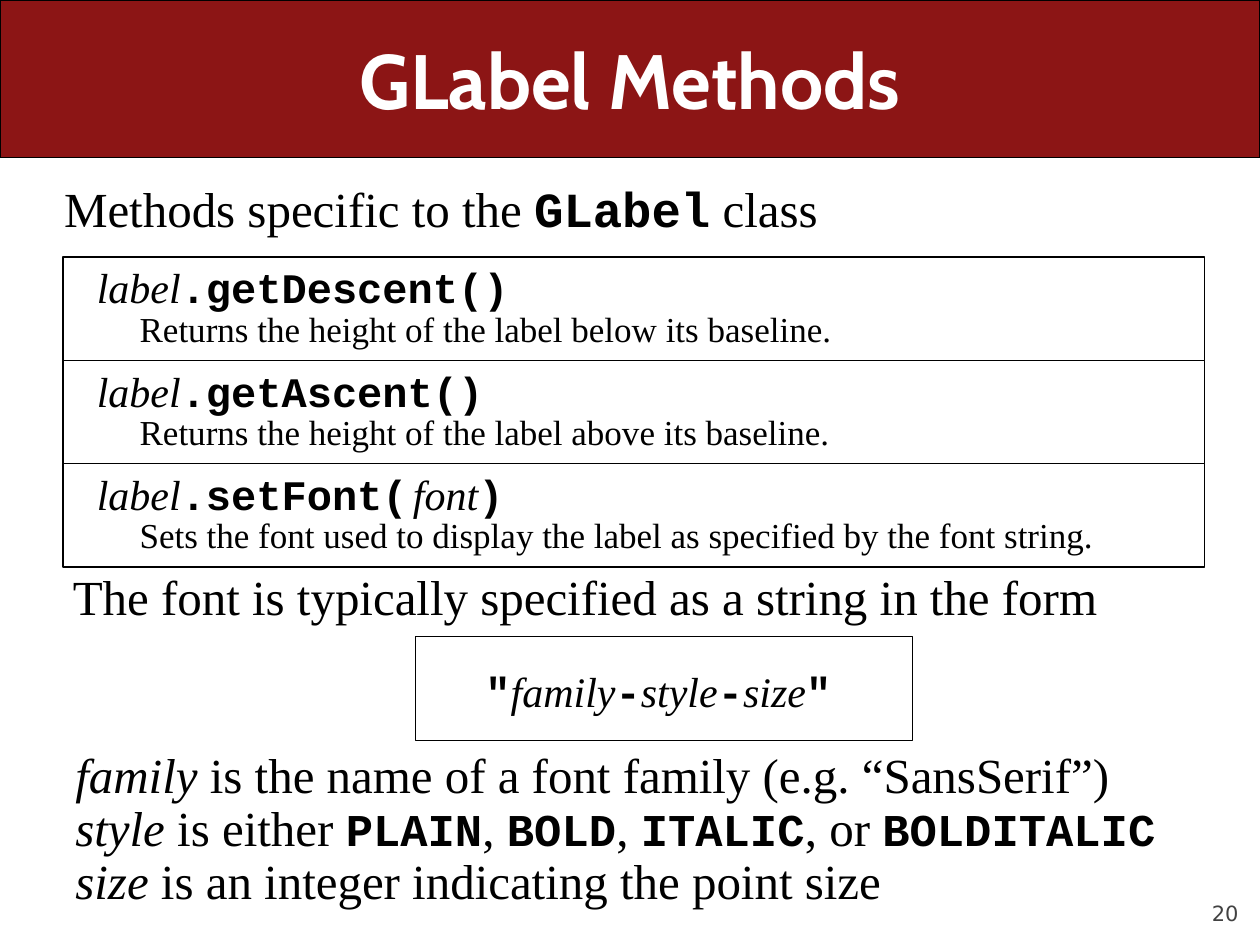
from typing import NamedTuple

from pptx import Presentation
from pptx.dml.color import RGBColor
from pptx.enum.shapes import MSO_SHAPE
from pptx.enum.text import MSO_ANCHOR, PP_ALIGN
from pptx.util import Inches, Pt

SERIF, MONO = "Times New Roman", "Courier New"
BLACK, WHITE, RED, GRAY = "000000", "FFFFFF", "8C1515", "424242"


class Run(NamedTuple):
    text: str
    size: float
    font: str = SERIF
    bold: bool = False
    slant: bool = False
    color: str = BLACK


class Box(NamedTuple):
    left: float
    top: float
    width: float
    height: float


class Method(NamedTuple):
    call: list[Run]
    about: str


def rgb(code: str) -> RGBColor:
    return RGBColor.from_string(code)


def code(text: str, size: float = 24) -> Run:
    return Run(text, size, MONO, bold=True)


def term(text: str, size: float = 24) -> Run:
    return Run(text, size, slant=True)


def plain(text: str, size: float = 28) -> Run:
    return Run(text, size)


def add_rect(slide, box: Box, fill: str = WHITE) -> None:
    rect = slide.shapes.add_shape(MSO_SHAPE.RECTANGLE, *map(Inches, box))
    rect.shadow.inherit = False
    rect.fill.solid()
    rect.fill.fore_color.rgb = rgb(fill)
    rect.line.color.rgb = rgb(BLACK)
    rect.line.width = Pt(0.75)


def add_text(slide, box: Box, lines: list[list[Run]],
             align: PP_ALIGN = PP_ALIGN.LEFT, space: float = 1.0,
             anchor: MSO_ANCHOR = MSO_ANCHOR.TOP):
    frame = slide.shapes.add_textbox(*map(Inches, box)).text_frame
    frame.word_wrap = True
    frame.vertical_anchor = anchor
    for i, line in enumerate(lines):
        para = frame.paragraphs[0] if i == 0 else frame.add_paragraph()
        para.alignment = align
        para.line_spacing = space
        for item in line:
            run = para.add_run()
            run.text = item.text
            font = run.font
            font.size, font.name = Pt(item.size), item.font
            font.bold, font.italic = item.bold, item.slant
            font.color.rgb = rgb(item.color)
    return frame


def add_method(slide, top: float, method: Method) -> None:
    add_rect(slide, Box(0.5, top, 9.06, 0.82))
    add_text(slide, Box(0.67, top - 0.01, 8.73, 0.5), [method.call])
    add_text(slide, Box(1.01, top + 0.35, 8.47, 0.44),
             [[plain(method.about, 20)]])


def add_body(slide, box: Box, lines: list[list[Run]]) -> None:
    add_text(slide, box, lines, PP_ALIGN.JUSTIFY, 0.9)


METHODS = [
    Method([term("label"), code(".getDescent()")],
           "Returns the height of the label below its baseline."),
    Method([term("label"), code(".getAscent()")],
           "Returns the height of the label above its baseline."),
    Method([term("label"), code(".setFont("), code(" ", 5), term("font"),
            code(")")],
           "Sets the font used to display the label as specified by "
           "the font string."),
]


def main() -> None:
    deck = Presentation()
    deck.slide_width, deck.slide_height = Inches(10), Inches(7.5)
    slide = deck.slides.add_slide(deck.slide_layouts[6])

    # Title band
    add_rect(slide, Box(0, 0, 10, 1.25), RED)
    add_text(slide, Box(0.5, 0, 9, 1.25),
             [[Run("GLabel Methods", 44, "Cabin", bold=True, color=WHITE)]],
             PP_ALIGN.CENTER, anchor=MSO_ANCHOR.MIDDLE)

    # Method list
    add_body(slide, Box(0.41, 1.42, 9.15, 0.54),
             [[plain("Methods specific to the "), code("GLabel", 28),
               plain(" class")]])
    for i, method in enumerate(METHODS):
        add_method(slide, 2.04 + 0.82 * i, method)

    # Font string form
    add_body(slide, Box(0.48, 4.5, 9, 0.52),
             [[plain("The font is typically specified as a string "
                     "in the form")]])
    add_rect(slide, Box(3.3, 5.05, 3.94, 0.83))
    add_text(slide, Box(3.5, 5.23, 3.45, 0.5),
             [[code('"'), term("family"), code("-"), term("style"),
               code("-"), term("size"), code('"')]], PP_ALIGN.CENTER)

    # Parts of the font string
    add_body(slide, Box(0.5, 5.91, 9, 1.36), [
        [term("family", 28),
         plain(" is the name of a font family (e.g. “SansSerif”)")],
        [term("style", 28), plain(" is either "), code("PLAIN", 26),
         plain(", "), code("BOLD", 26), plain(", "), code("ITALIC", 26),
         plain(", or "), code("BOLDITALIC", 26)],
        [term("size", 28), plain(" is an integer indicating the point size")],
    ])

    # Slide number
    frame = add_text(slide, Box(9, 6.95, 0.83, 0.4),
                     [[Run("20", 12, "DejaVu Sans", color=GRAY)]],
                     PP_ALIGN.RIGHT, anchor=MSO_ANCHOR.BOTTOM)
    frame.margin_left = frame.margin_right = Inches(0)
    frame.margin_top = frame.margin_bottom = Inches(0)

    deck.save("out.pptx")


if __name__ == "__main__":
    main()
